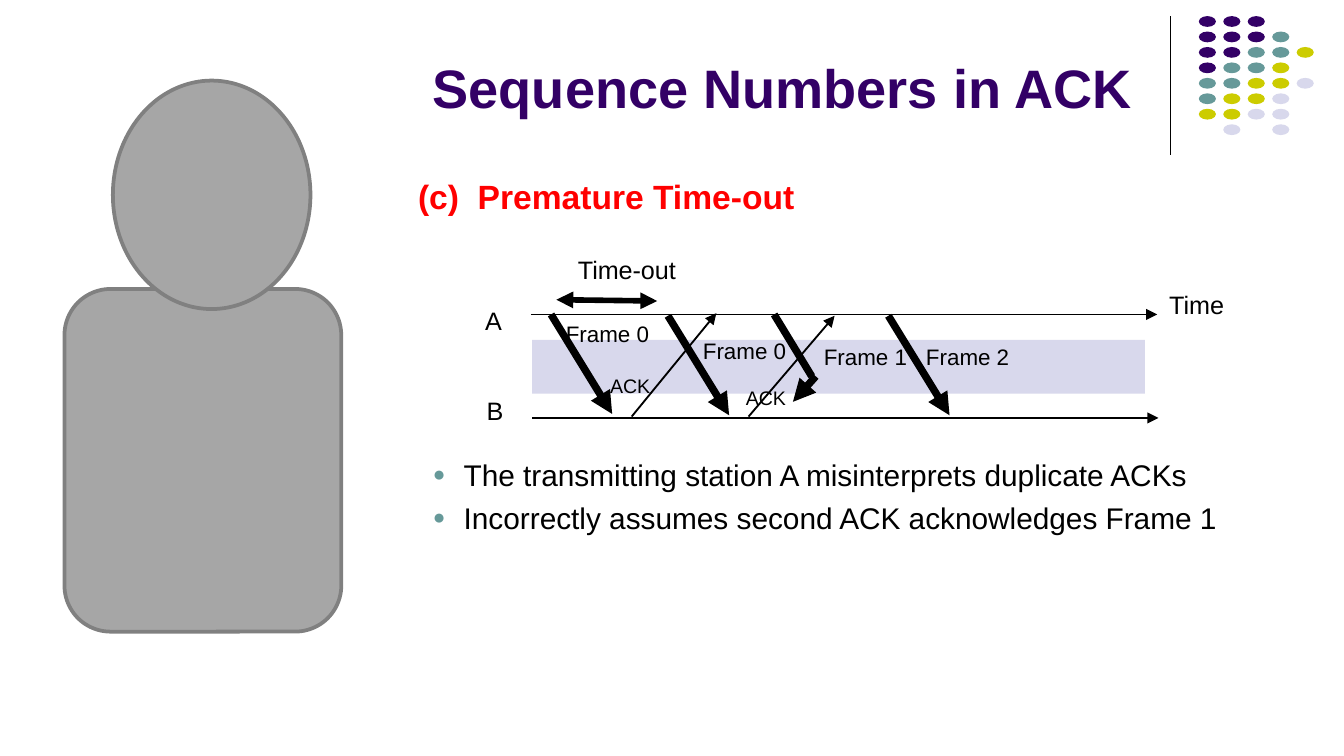
from dataclasses import dataclass

from lxml import etree
from pptx import Presentation
from pptx.dml.color import RGBColor
from pptx.enum.shapes import MSO_CONNECTOR, MSO_SHAPE
from pptx.enum.text import MSO_ANCHOR, MSO_AUTO_SIZE, PP_ALIGN
from pptx.oxml.ns import qn
from pptx.util import Inches, Pt

STRAIGHT = MSO_CONNECTOR.STRAIGHT
OVAL, RECTANGLE, ROUNDED = MSO_SHAPE.OVAL, MSO_SHAPE.RECTANGLE, MSO_SHAPE.ROUNDED_RECTANGLE
FIT_SHAPE, NO_FIT = MSO_AUTO_SIZE.SHAPE_TO_FIT_TEXT, MSO_AUTO_SIZE.NONE
TOP, BOTTOM, LEFT = MSO_ANCHOR.TOP, MSO_ANCHOR.BOTTOM, PP_ALIGN.LEFT

FONT = "Arial"
BLACK, RED = "000000", "FF0000"
PURPLE, TEAL, OLIVE, LILAC = "330066", "669999", "CCCC00", "D8D8EC"
GREY, DARK_GREY = "A6A6A6", "808080"


@dataclass
class Box:
    """A region in inches, divided into columns and rows."""
    left: float
    top: float
    width: float
    height: float
    columns: float = 1
    rows: float = 1

    def point(self, column, row):
        return (Inches(self.left + column * self.width / self.columns),
                Inches(self.top + row * self.height / self.rows))

    def area(self, column=0, row=0, columns=None, rows=None):
        columns = self.columns if columns is None else columns
        rows = self.rows if rows is None else rows
        return (*self.point(column, row),
                Inches(columns * self.width / self.columns),
                Inches(rows * self.height / self.rows))


def colour(value):
    return RGBColor.from_string(value)


def set_insets(frame):
    frame.margin_left = frame.margin_right = Inches(0.07)
    frame.margin_top = frame.margin_bottom = Inches(0.04)


def add_span(para, words, size, ink=BLACK, bold=False):
    span = para.add_run()
    span.text = words
    span.font.name, span.font.size, span.font.bold = FONT, Pt(size), bold
    span.font.color.rgb = colour(ink)


def add_label(shapes, area, words, size, ink=BLACK, bold=False, wrap=False):
    frame = shapes.add_textbox(*area).text_frame
    set_insets(frame)
    frame.word_wrap, frame.auto_size = wrap, FIT_SHAPE
    add_span(frame.paragraphs[0], words, size, ink, bold)


def add_figure(shapes, kind, area, fill, outline=None):
    shape = shapes.add_shape(kind, *area)
    shape.shadow.inherit = False
    shape.fill.solid()
    shape.fill.fore_color.rgb = colour(fill)
    if outline:
        shape.line.color.rgb = colour(outline)
        shape.line.width = Pt(2)
    else:
        shape.line.fill.background()


def add_line(shapes, start, end, weight, ends=()):
    """Draw a black line; ends may hold headEnd and tailEnd."""
    line = shapes.add_connector(STRAIGHT, *start, *end)
    line.line.color.rgb = colour(BLACK)
    line.line.width = Pt(weight)
    outline = line.line._get_or_add_ln()
    for end_name in ends:
        etree.SubElement(outline, qn(f"a:{end_name}"), type="triangle")
    etree.SubElement(line._element.spPr, qn("a:effectLst"))


def add_dots(page, box):
    shapes = page.shapes.add_group_shape().shapes
    inks = {"P": PURPLE, "T": TEAL, "Y": OLIVE, "L": LILAC}
    pattern = ("PPP", "PPPT", "PPTTY", "PTTY", "TTYYL", "TYYL", "YYLL", " L L")
    for row, codes in enumerate(pattern):
        for column, code in enumerate(codes):
            if code in inks:
                add_figure(shapes, OVAL, box.area(column, row, 0.7, 0.7), inks[code])


def add_title(page, box):
    title = page.shapes.title
    title.left, title.top, title.width, title.height = box.area()
    frame = title.text_frame
    frame.vertical_anchor, frame.auto_size = BOTTOM, NO_FIT
    para = frame.paragraphs[0]
    para.alignment = LEFT
    add_span(para, "Sequence Numbers in ACK", 29, PURPLE, True)


def add_bullet(para):
    properties = para._p.get_or_add_pPr()
    properties.set("marL", str(Inches(0.61)))
    properties.set("indent", str(Inches(-0.23)))
    tint = etree.SubElement(properties, qn("a:buClr"))
    etree.SubElement(tint, qn("a:srgbClr"), val=TEAL)
    etree.SubElement(properties, qn("a:buSzPct"), val="70000")
    etree.SubElement(properties, qn("a:buFont"), typeface=FONT)
    etree.SubElement(properties, qn("a:buChar"), char="●")


def add_findings(page, box):
    body = page.placeholders[1]
    body.left, body.top, body.width, body.height = box.area()
    frame = body.text_frame
    set_insets(frame)
    frame.vertical_anchor, frame.auto_size = TOP, NO_FIT
    findings = ("The transmitting station A misinterprets duplicate ACKs",
                "Incorrectly assumes second ACK acknowledges Frame 1")
    for index, words in enumerate(findings):
        para = frame.add_paragraph() if index else frame.paragraphs[0]
        para.level = 1
        add_bullet(para)
        para.space_before = Pt(3.5 if index else 0)
        add_span(para, words, 16)


def add_timing_diagram(page, box):
    """Station A's timeline lies on row 0 and station B's below it."""
    shapes = page.shapes.add_group_shape().shapes
    add_figure(shapes, RECTANGLE, box.area(0.1, 1.9, 45.6, 4), LILAC)
    thin, thick, arrow = 1, 4, ("tailEnd",)
    lines = (
        ((0, 0), (46.6, 0), thin, arrow),
        ((0.1, 7.7), (46.7, 7.7), thin, arrow),
        ((1.9, -1.1), (9.4, -1), 3, ("headEnd", "tailEnd")),
        ((7.5, 7.6), (13.8, -0.1), thin, arrow),
        ((16.2, 7.6), (22.6, 0.1), thin, arrow),
        ((18.1, 0), (20.9, 4.6), thick, ()),
        ((21.2, 4.6), (19.5, 6.5), thick, arrow),
    )
    for start, end, weight, ends in lines:
        add_line(shapes, box.point(*start), box.point(*end), weight, ends)
    for column, row in ((1.5, 0), (10.2, 0.1), (26.6, 0.1)):
        add_line(shapes, box.point(column, row),
                 box.point(column + 4.55, row + 7.4), thick, arrow)

    for words, column, row, columns in (("A", -4.1, -1.1, 2.8), ("B", -4, 5.6, 2.8),
                                        ("Time", 46.8, -2.3, 5.6),
                                        ("Time-out", 2.8, -4.9, 8.9)):
        add_label(shapes, box.area(column, row, columns, 3), words, 13.5)
    for number, column, row, columns in ((0, 1.9, 0, 9.8), (0, 12.1, 1.3, 8.9),
                                         (1, 21.1, 1.7, 9.7), (2, 28.7, 1.7, 8)):
        add_label(shapes, box.area(column, row, columns, 2.8),
                  f"Frame {number}", 12, wrap=True)
    for column, row in ((5.2, 4), (15.3, 4.9)):
        add_label(shapes, box.area(column, row, 4.5, 2.5), "ACK", 10.5)


def add_person(page, box):
    shapes = page.shapes.add_group_shape().shapes
    add_figure(shapes, ROUNDED, box.area(0, 15.5, 20.6, 25.5), GREY, DARK_GREY)
    add_figure(shapes, OVAL, box.area(3.6, 0, 14.7, 17), GREY, DARK_GREY)


def main():
    deck = Presentation()
    deck.slide_width = Inches(10)
    deck.slide_height = deck.slide_width * 9 // 16
    page = deck.slides.add_slide(deck.slide_layouts[1])
    divider = Box(8.71, 0.12, 0, 1.03)
    add_line(page.shapes, divider.point(0, 0), divider.point(0, 1), 0.75)
    add_dots(page, Box(8.92, 0.12, 0.91, 0.92, 5, 8))
    add_title(page, Box(3.12, 0.1, 5.63, 0.84))
    add_findings(page, Box(2.77, 3.36, 6.43, 0.85))
    add_label(page.shapes, Box(3.04, 1.27, 2.98, 0.38).area(),
              "(c)  Premature Time-out", 18, RED, True)
    add_timing_diagram(page, Box(3.95, 2.34, 4.6, 0.8, 46, 8))
    add_person(page, Box(0.48, 0.6, 2.06, 4.1, 20.6, 41))
    deck.save("out.pptx")


if __name__ == "__main__":
    main()
